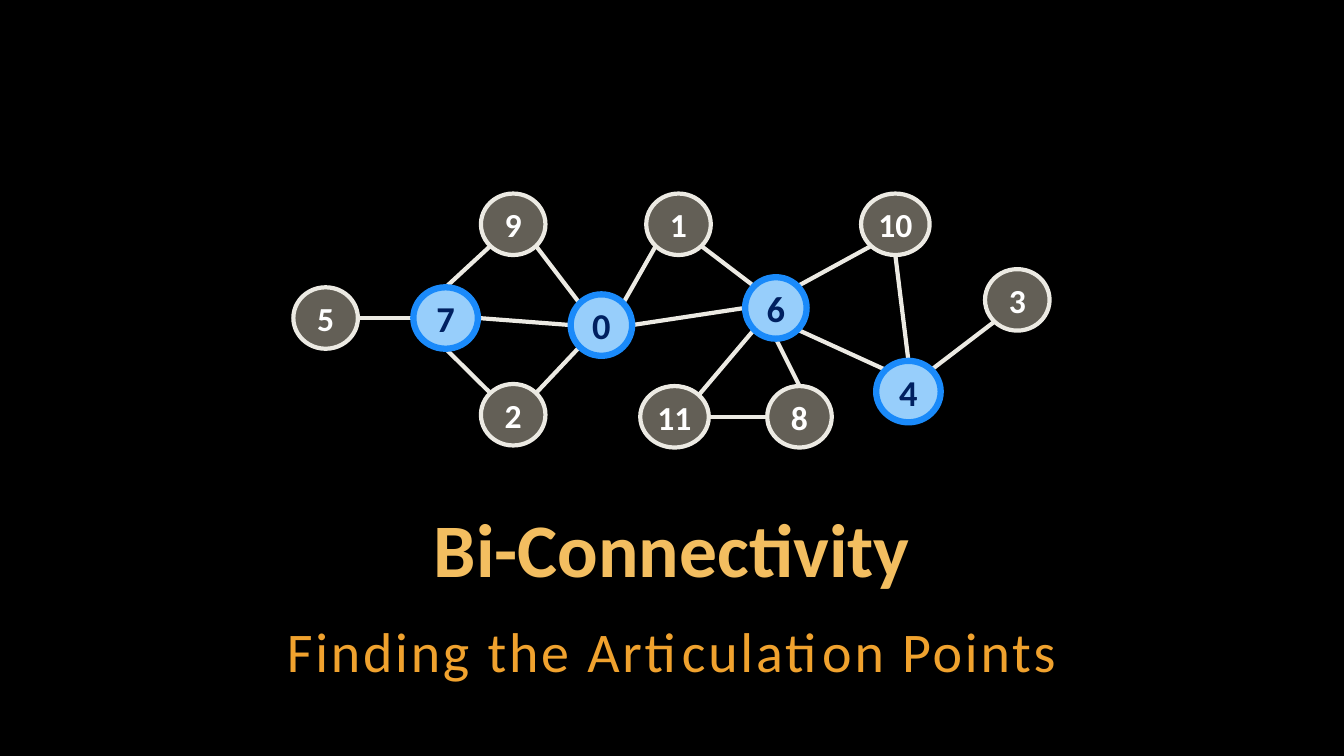
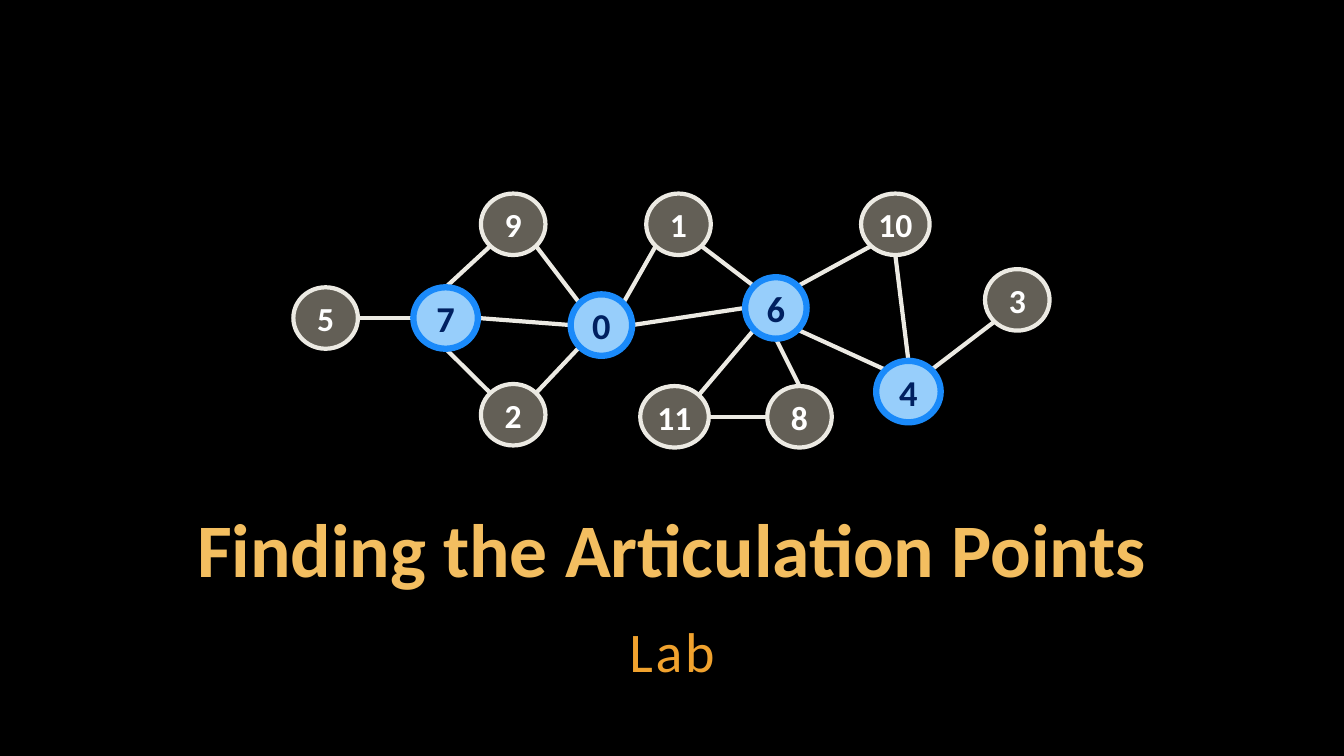
"""Build two title slides that share a graph with highlighted articulation points."""
from dataclasses import dataclass
from enum import Enum
from math import sqrt

from lxml.etree import SubElement
from pptx import Presentation
from pptx.dml.color import RGBColor
from pptx.enum.shapes import MSO_CONNECTOR, MSO_SHAPE
from pptx.enum.text import MSO_ANCHOR, MSO_AUTO_SIZE, PP_ALIGN
from pptx.oxml.ns import qn
from pptx.presentation import Presentation as Deck
from pptx.shapes.autoshape import Shape
from pptx.shapes.group import GroupShape
from pptx.slide import Slide
from pptx.text.text import TextFrame
from pptx.util import Inches, Pt


@dataclass(frozen=True)
class TextStyle:
    size: float
    color: str
    bold: bool = True


@dataclass(frozen=True)
class NodeStyle:
    fill: str
    line: str
    line_width: float
    text: TextStyle
    opacity: int = 100


@dataclass(frozen=True)
class Theme:
    font: str = "Calibri"
    background: str = "000000"
    edge: str = "ECEAE3"
    edge_width: float = 3
    title: TextStyle = TextStyle(54, "F3BE60")
    subtitle: TextStyle = TextStyle(40, "F0A22E", False)
    plain: NodeStyle = NodeStyle("C7BFAC", "ECEAE3", 3, TextStyle(24, "FFFFFF"), 50)
    articulation: NodeStyle = NodeStyle("97CEFB", "1A8AFA", 4.5, TextStyle(26, "002060"))


class Side(Enum):
    """Direction from a node's centre to a point on its outline."""

    TOP = (0, -1)
    BOTTOM = (0, 1)
    LEFT = (-1, 0)
    RIGHT = (1, 0)
    TOP_LEFT = (-1, -1)
    TOP_RIGHT = (1, -1)
    BOTTOM_LEFT = (-1, 1)
    BOTTOM_RIGHT = (1, 1)


@dataclass(frozen=True)
class Node:
    left: float
    top: float
    width: float = 0.64
    height: float = 0.61
    articulation: bool = False

    def point(self, side: Side) -> tuple[float, float]:
        """Return the point of the ellipse that lies on the given side."""
        across, down = side.value
        reach = 0.5 / sqrt(across**2 + down**2)
        return (
            self.left + self.width * (0.5 + reach * across),
            self.top + self.height * (0.5 + reach * down),
        )


@dataclass(frozen=True)
class Edge:
    start: int
    start_side: Side
    end: int
    end_side: Side


@dataclass(frozen=True)
class TitlePage:
    title: str
    subtitle: str


THEME = Theme()
NODES = {
    10: Node(8.54, 1.92, width=0.68),
    1: Node(6.41, 1.92),
    2: Node(4.77, 3.81),
    8: Node(7.61, 3.83),
    9: Node(4.77, 1.92),
    5: Node(2.91, 2.85),
    3: Node(9.77, 2.67),
    4: Node(8.69, 3.58, articulation=True),
    11: Node(6.35, 3.83, width=0.68),
    6: Node(7.39, 2.75, width=0.61, articulation=True),
    7: Node(4.1, 2.85, articulation=True),
    0: Node(5.66, 2.92, width=0.61, articulation=True),
}
EDGES = [
    Edge(0, Side.LEFT, 7, Side.RIGHT),
    Edge(6, Side.TOP_RIGHT, 10, Side.BOTTOM_LEFT),
    Edge(6, Side.TOP_LEFT, 1, Side.BOTTOM_RIGHT),
    Edge(0, Side.RIGHT, 6, Side.LEFT),
    Edge(1, Side.BOTTOM_LEFT, 0, Side.TOP_RIGHT),
    Edge(0, Side.TOP_LEFT, 9, Side.BOTTOM_RIGHT),
    Edge(6, Side.BOTTOM_RIGHT, 4, Side.TOP_LEFT),
    Edge(0, Side.BOTTOM_LEFT, 2, Side.TOP_RIGHT),
    Edge(8, Side.TOP, 6, Side.BOTTOM),
    Edge(7, Side.TOP, 9, Side.BOTTOM_LEFT),
    Edge(4, Side.TOP, 10, Side.BOTTOM),
    Edge(7, Side.BOTTOM, 2, Side.TOP_LEFT),
    Edge(5, Side.RIGHT, 7, Side.LEFT),
    Edge(3, Side.BOTTOM_LEFT, 4, Side.TOP_RIGHT),
    Edge(11, Side.TOP_RIGHT, 6, Side.BOTTOM_LEFT),
    Edge(11, Side.RIGHT, 8, Side.LEFT),
]
PAGES = [
    TitlePage("Bi-Connectivity", "Finding the Articulation Points"),
    TitlePage("Finding the Articulation Points", "Lab"),
]


def write_text(
    frame: TextFrame, text: str, style: TextStyle, anchor: MSO_ANCHOR, vertical_margin: float
) -> None:
    """Write one centred paragraph in the given style."""
    frame.text = text
    frame.word_wrap = True
    frame.vertical_anchor = anchor
    frame.margin_left = frame.margin_right = Inches(0.04)
    frame.margin_top = frame.margin_bottom = Inches(vertical_margin)
    para = frame.paragraphs[0]
    para.alignment = PP_ALIGN.CENTER
    para.font.name = THEME.font
    para.font.size = Pt(style.size)
    para.font.bold = style.bold
    para.font.color.rgb = RGBColor.from_string(style.color)


def write_heading(
    box: Shape, text: str, style: TextStyle, top: float, height: float,
    anchor: MSO_ANCHOR, line_spacing: float,
) -> None:
    """Place a full-width heading box and fill it."""
    box.left, box.top = Inches(1), Inches(top)
    box.width, box.height = Inches(11.33), Inches(height)
    write_text(box.text_frame, text, style, anchor, 0.04)
    box.text_frame.auto_size = MSO_AUTO_SIZE.SHAPE_TO_FIT_TEXT
    box.text_frame.paragraphs[0].line_spacing = line_spacing


def add_headings(page: Slide, content: TitlePage) -> None:
    """Fill the title and add the letter-spaced subtitle below it."""
    write_heading(
        page.shapes.title, content.title, THEME.title, 5.03, 0.9, MSO_ANCHOR.BOTTOM, 0.9
    )
    subtitle = page.shapes.add_textbox(0, 0, 0, 0)
    write_heading(
        subtitle, content.subtitle, THEME.subtitle, 6.04, 0.79, MSO_ANCHOR.TOP, 1.05
    )
    para = subtitle.text_frame.paragraphs[0]
    para.space_after = Pt(6)
    para.runs[0].font._element.set("spc", "200")


def add_edge(graph: GroupShape, edge: Edge) -> None:
    """Draw a straight line between two node outlines."""
    start = NODES[edge.start].point(edge.start_side)
    end = NODES[edge.end].point(edge.end_side)
    line = graph.shapes.add_connector(
        MSO_CONNECTOR.STRAIGHT, *(Inches(value) for value in (*start, *end))
    )
    line.line.color.rgb = RGBColor.from_string(THEME.edge)
    line.line.width = Pt(THEME.edge_width)
    SubElement(line._element.spPr, qn("a:effectLst"))


def add_node(graph: GroupShape, label: int, node: Node) -> None:
    """Draw a numbered ellipse."""
    style = THEME.articulation if node.articulation else THEME.plain
    bounds = (node.left, node.top, node.width, node.height)
    ellipse = graph.shapes.add_shape(MSO_SHAPE.OVAL, *(Inches(value) for value in bounds))
    ellipse.shadow.inherit = False
    ellipse.fill.solid()
    ellipse.fill.fore_color.rgb = RGBColor.from_string(style.fill)
    if style.opacity < 100:
        color = ellipse._element.spPr.find(qn("a:solidFill")).find(qn("a:srgbClr"))
        SubElement(color, qn("a:alpha"), val=str(style.opacity * 1000))
    ellipse.line.color.rgb = RGBColor.from_string(style.line)
    ellipse.line.width = Pt(style.line_width)
    write_text(ellipse.text_frame, str(label), style.text, MSO_ANCHOR.MIDDLE, 0.05)


def add_graph(page: Slide) -> None:
    """Group the edges with the nodes in front of them."""
    graph = page.shapes.add_group_shape()
    for edge in EDGES:
        add_edge(graph, edge)
    for label, node in NODES.items():
        add_node(graph, label, node)


def add_page(deck: Deck, content: TitlePage) -> None:
    """Add one title slide with the graph above its headings."""
    page = deck.slides.add_slide(deck.slide_layouts.get_by_name("Title Only"))
    add_headings(page, content)
    add_graph(page)


def main() -> None:
    """Build and save the deck."""
    deck = Presentation()
    deck.slide_width, deck.slide_height = Inches(13.33), Inches(7.5)
    background = deck.slide_master.background.fill
    background.solid()
    background.fore_color.rgb = RGBColor.from_string(THEME.background)
    for content in PAGES:
        add_page(deck, content)
    deck.save("out.pptx")


if __name__ == "__main__":
    main()
